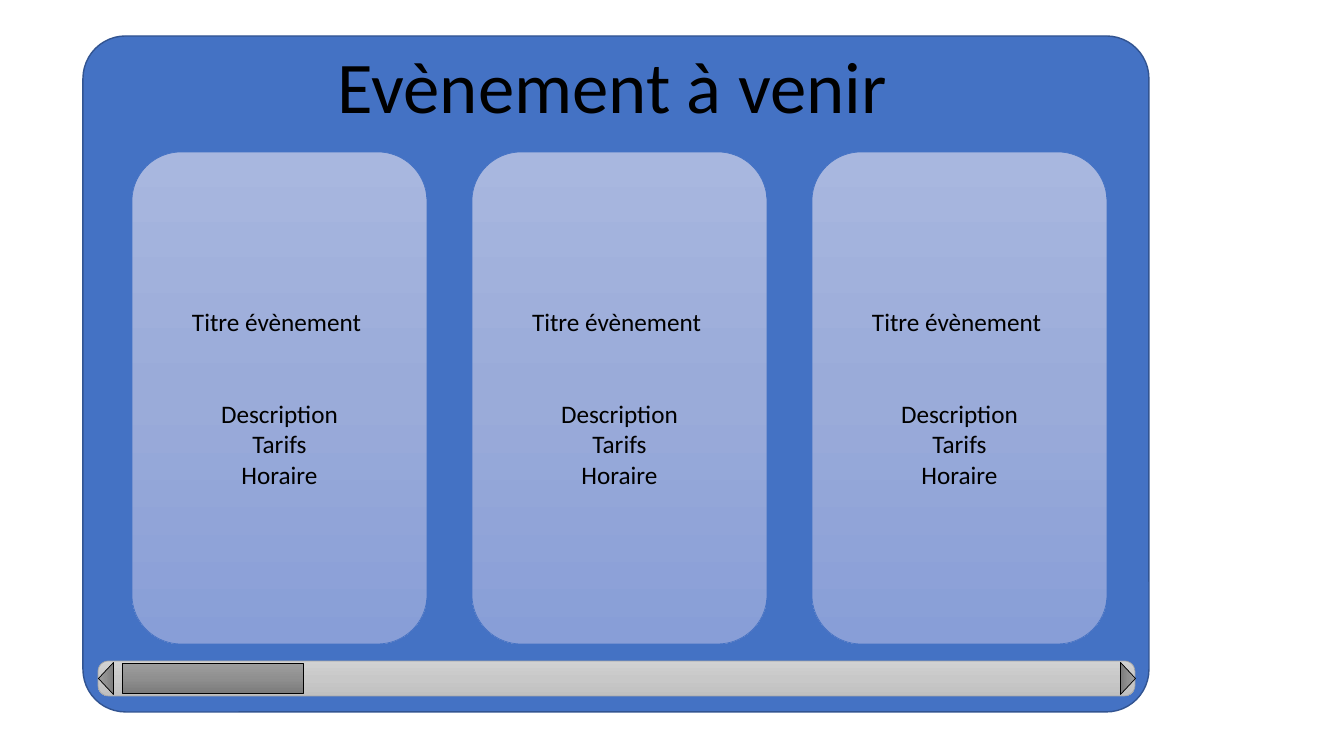
from copy import deepcopy
from dataclasses import dataclass

from pptx import Presentation
from pptx.dml.color import RGBColor
from pptx.enum.shapes import MSO_SHAPE
from pptx.enum.text import MSO_ANCHOR, MSO_AUTO_SIZE, PP_ALIGN
from pptx.oxml.ns import qn
from pptx.util import Emu, Pt


@dataclass(frozen=True)
class Theme:
    """Colours, font and type sizes of the slide."""
    font: str = "Calibri"
    text: str = "000000"
    panel: str = "4472C4"
    panel_line: str = "325491"
    card: tuple = ("A8B7DF", "9AABD9", "889ED7")
    track: tuple = ("D2D2D2", "C8C8C8", "C0C0C0")
    track_line: str = "A5A5A5"
    control: tuple = ("9D9D9D", "909090", "7C7C7C")
    title_size: int = 52
    body_size: int = 18
    card_gap: int = 44


THEME = Theme()
EMU_PER_PX = 914400 / 100.8


def px(length):
    """Turn pixels into EMU."""
    return Emu(round(length * EMU_PER_PX))


def add_box(shapes, kind, box, line, width):
    """Add a shadowless preset shape with an outline."""
    shape = shapes.add_shape(kind, *map(px, box))
    shape.shadow.inherit = False
    shape.line.color.rgb = RGBColor.from_string(line)
    shape.line.width = Pt(width)
    return shape


def fill_gradient(shape, colours):
    """Fill a shape from top to bottom with evenly spaced colours."""
    shape.fill.gradient()
    shape.fill.gradient_angle = 270
    stop_list = shape.element.spPr.find(".//" + qn("a:gsLst"))
    while len(stop_list) < len(colours):
        stop_list.append(deepcopy(stop_list[-1]))
    for index, (stop, colour) in enumerate(zip(shape.fill.gradient_stops, colours)):
        stop.position = index / (len(colours) - 1)
        stop.color.rgb = RGBColor.from_string(colour)


def set_font(para, size):
    """Give a paragraph the theme font."""
    para.font.name = THEME.font
    para.font.size = Pt(size)
    para.font.color.rgb = RGBColor.from_string(THEME.text)


def add_panel(page, box):
    """Draw the rounded background panel."""
    panel = add_box(page.shapes, MSO_SHAPE.ROUNDED_RECTANGLE, box, THEME.panel_line, 1)
    panel.adjustments[0] = 0.063
    panel.fill.solid()
    panel.fill.fore_color.rgb = RGBColor.from_string(THEME.panel)


def add_title(page, box):
    """Write the heading."""
    frame = page.shapes.add_textbox(*map(px, box)).text_frame
    frame.word_wrap = True
    frame.auto_size = MSO_AUTO_SIZE.SHAPE_TO_FIT_TEXT
    para = frame.paragraphs[0]
    para.text = "Evènement à venir"
    set_font(para, THEME.title_size)


def add_card(page, box):
    """Draw one event card with its title and details."""
    card = add_box(page.shapes, MSO_SHAPE.ROUNDED_RECTANGLE, box, THEME.panel, 0.5)
    fill_gradient(card, THEME.card)
    frame = card.text_frame
    frame.word_wrap = True
    frame.vertical_anchor = MSO_ANCHOR.MIDDLE
    frame.text = "Titre évènement \nDescription\nTarifs\nHoraire"
    for para in frame.paragraphs:
        para.alignment = PP_ALIGN.CENTER
        set_font(para, THEME.body_size)
    frame.paragraphs[1].space_before = Pt(THEME.card_gap)


def add_cards(page, box, count=3, gap=45):
    """Lay out equal event cards side by side."""
    left, top, width, height = box
    card_width = (width - gap * (count - 1)) // count
    for index in range(count):
        add_card(page, (left + index * (card_width + gap), top, card_width, height))


def add_scrollbar(page, box):
    """Draw the horizontal scroll bar with its arrows and thumb."""
    left, top, width, height = box
    shapes = page.shapes.add_group_shape().shapes
    track = add_box(shapes, MSO_SHAPE.ROUNDED_RECTANGLE, box, THEME.track_line, 0.5)
    track.adjustments[0] = 0.301
    fill_gradient(track, THEME.track)
    span, depth = 32, 15
    inset = (span - depth) // 2
    arrow_top = top + (height - depth) // 2
    arrows = ((left - inset, 270), (left + width - depth - inset, 90))
    for arrow_left, rotation in arrows:
        arrow_box = (arrow_left, arrow_top, span, depth)
        arrow = add_box(shapes, MSO_SHAPE.ISOSCELES_TRIANGLE, arrow_box, THEME.text, 0.5)
        arrow.rotation = rotation
        fill_gradient(arrow, THEME.control)
    thumb_box = (left + 24, top + 2, 181, height - 5)
    thumb = add_box(shapes, MSO_SHAPE.RECTANGLE, thumb_box, THEME.text, 0.5)
    fill_gradient(thumb, THEME.control)


def main():
    """Build and save the slide."""
    deck = Presentation()
    deck.slide_width, deck.slide_height = px(1344), px(756)
    page = deck.slides.add_slide(deck.slide_layouts[6])
    add_panel(page, (83, 36, 1066, 676))
    add_cards(page, (132, 152, 975, 492))
    add_title(page, (328, 36, 584, 99))
    add_scrollbar(page, (98, 661, 1037, 35))
    deck.save("out.pptx")


if __name__ == "__main__":
    main()
